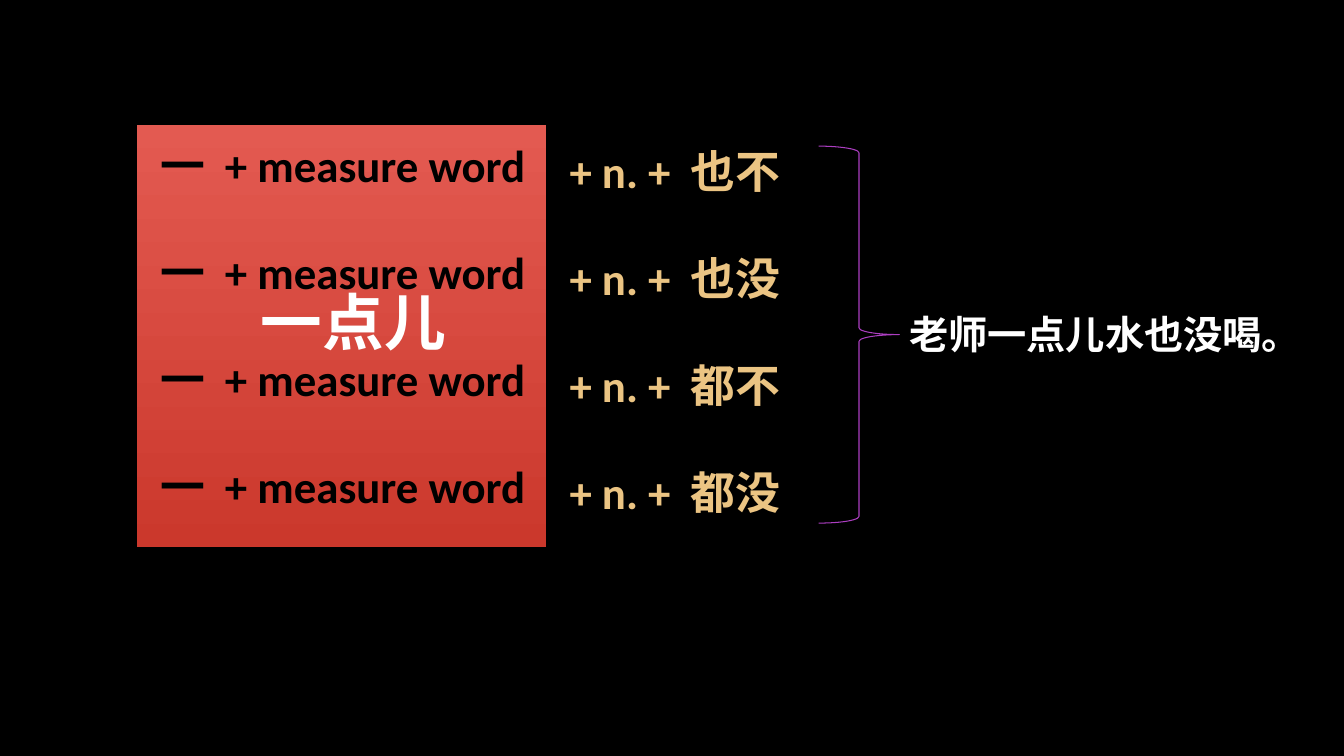
from dataclasses import dataclass

from lxml.etree import SubElement
from pptx import Presentation
from pptx.dml.color import RGBColor
from pptx.enum.shapes import MSO_SHAPE as Shape
from pptx.oxml.ns import qn
from pptx.util import Inches, Pt


@dataclass(frozen=True)
class Theme:
    font: str = "Calibri"
    background: str = "000000"
    panel_top: str = "E35A51"
    panel_bottom: str = "CB382C"
    dark: str = "000000"
    light: str = "FFFFFF"
    gold: str = "EBC483"
    brace: str = "AC3EC1"
    pattern_size: int = 32
    keyword_size: int = 44
    example_size: int = 28
    row_gap: int = 38
    script_gap: int = 7


@dataclass(frozen=True)
class Box:
    left: float
    top: float
    width: float
    height: float

    def lengths(self) -> tuple:
        return tuple(Inches(v) for v in (self.left, self.top, self.width, self.height))


@dataclass(frozen=True)
class TextBlock:
    box: Box
    rows: list[list[str]]  # each row is a list of runs
    size: int
    color: str


THEME = Theme()
PANEL = Box(1.36, 1.24, 4.06, 4.19)
BRACE = Box(8.12, 1.45, 0.8, 3.74)

TEXT_BLOCKS = [
    TextBlock(Box(1.49, 1.32, 3.93, 3.87), [["一", " ", "+ measure word"]] * 4,
              THEME.pattern_size, THEME.dark),
    TextBlock(Box(2.49, 2.77, 3.43, 0.84), [["一点儿"]],
              THEME.keyword_size, THEME.light),
    TextBlock(Box(5.55, 1.38, 3.55, 4.17),
              [["+ n. +", " ", ending] for ending in ("也不", "也没", "都不", "都没")],
              THEME.pattern_size, THEME.gold),
    TextBlock(Box(8.92, 3.03, 4.15, 0.57), [["老师一点儿水也没喝。"]],
              THEME.example_size, THEME.light),
]


def rgb(color: str) -> RGBColor:
    return RGBColor.from_string(color)


def add_panel(slide, box: Box) -> None:
    panel = slide.shapes.add_shape(Shape.RECTANGLE, *box.lengths())
    panel.fill.gradient()
    panel.fill.gradient_angle = 270
    for stop, color in zip(panel.fill.gradient_stops, (THEME.panel_top, THEME.panel_bottom)):
        stop.color.rgb = rgb(color)
    panel.line.fill.background()

    # Soft shadow below the panel
    panel.shadow.inherit = False
    effects = panel._element.spPr.find(qn("a:effectLst"))
    shadow = SubElement(effects, qn("a:outerShdw"), blurRad=str(Pt(5)), dist=str(Pt(3)),
                        dir="5400000", rotWithShape="0")
    shadow_color = SubElement(shadow, qn("a:srgbClr"), val=THEME.dark)
    SubElement(shadow_color, qn("a:alpha"), val="65000")


def add_text(slide, block: TextBlock) -> None:
    frame = slide.shapes.add_textbox(*block.box.lengths()).text_frame
    frame.word_wrap = True
    for index, row in enumerate(block.rows):
        paragraph = frame.add_paragraph() if index else frame.paragraphs[0]
        if index:
            paragraph.space_before = Pt(THEME.row_gap)
        for text in row:
            run = paragraph.add_run()
            run.text = text
            run.font.name = THEME.font
            run.font.size = Pt(block.size)
            run.font.bold = True
            run.font.color.rgb = rgb(block.color)
            if text == " ":  # widen the gap between the scripts
                run._r.get_or_add_rPr().set("spc", str(THEME.script_gap * 100))


def add_brace(slide, box: Box) -> None:
    brace = slide.shapes.add_shape(Shape.RIGHT_BRACE, *box.lengths())
    brace.fill.background()
    brace.line.color.rgb = rgb(THEME.brace)
    brace.line.width = Pt(0.75)
    brace.shadow.inherit = False


def main() -> None:
    deck = Presentation()
    deck.slide_width, deck.slide_height = Inches(13.33), Inches(7.5)
    slide = deck.slides.add_slide(deck.slide_layouts[6])
    slide.background.fill.solid()
    slide.background.fill.fore_color.rgb = rgb(THEME.background)

    # Sentence patterns on the left, example on the right of the brace
    *patterns, example = TEXT_BLOCKS
    add_panel(slide, PANEL)
    for pattern in patterns:
        add_text(slide, pattern)
    add_brace(slide, BRACE)
    add_text(slide, example)

    deck.save("out.pptx")


if __name__ == "__main__":
    main()
